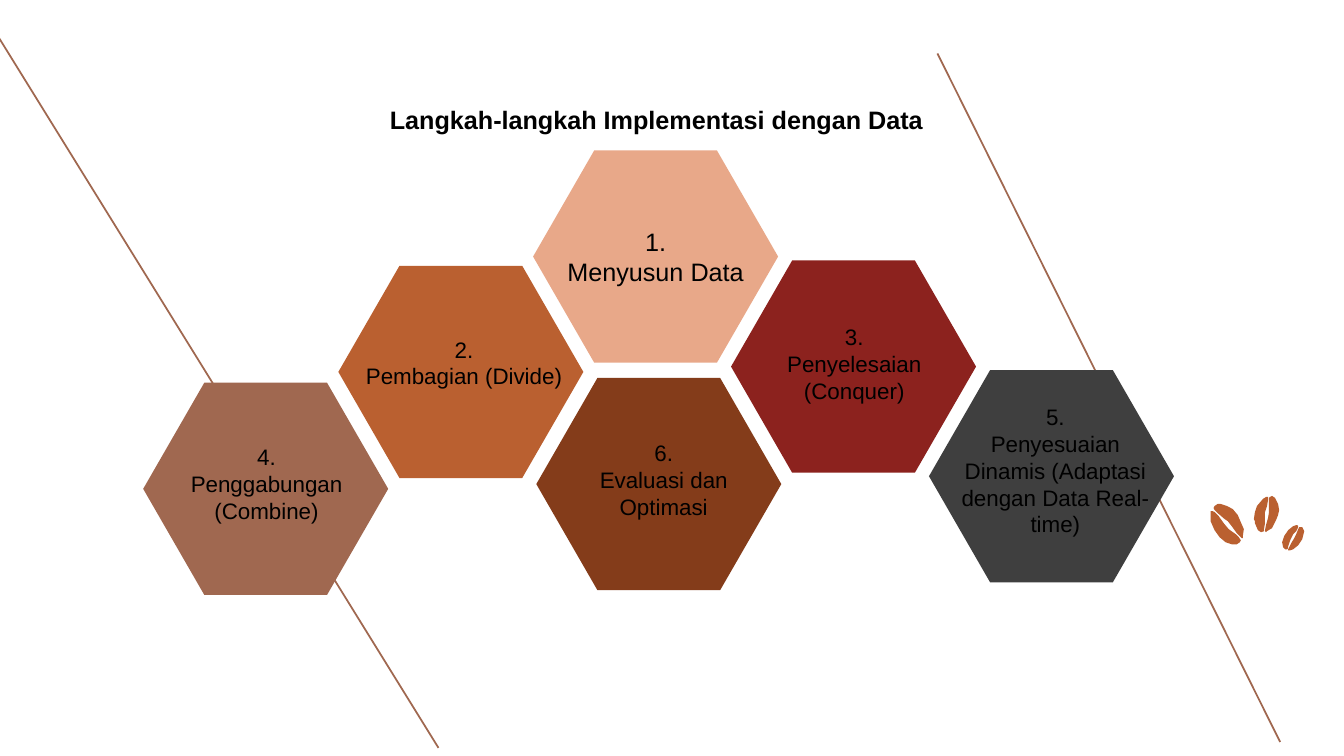
from dataclasses import dataclass

from lxml.etree import SubElement
from pptx import Presentation
from pptx.dml.color import RGBColor
from pptx.enum.shapes import MSO_CONNECTOR as CONNECTOR, MSO_SHAPE as SHAPE
from pptx.enum.text import MSO_ANCHOR as ANCHOR, MSO_AUTO_SIZE as AUTO_SIZE, PP_ALIGN as ALIGN
from pptx.oxml.ns import qn
from pptx.util import Pt


@dataclass(frozen=True)
class Theme:
    font: str = "Arial"
    heading_size: float = 18
    label_size: float = 16
    text: str = "000000"
    clay: str = "A06850"
    copper: str = "BA6030"
    brown: str = "843C1A"
    red: str = "8C221E"
    charcoal: str = "3F3F3F"
    peach: str = "E8A889"


class SlideBuilder:
    def __init__(self, slide, theme):
        self.slide = slide
        self.theme = theme

    def line(self, x1, y1, x2, y2):
        connector = self.slide.shapes.add_connector(
            CONNECTOR.STRAIGHT, Pt(x1), Pt(y1), Pt(x2), Pt(y2))
        connector.line.color.rgb = RGBColor.from_string(self.theme.clay)
        connector.line.width = Pt(1.25)
        SubElement(connector._element.spPr, qn("a:effectLst"))

    def paint(self, shape, color):
        shape.shadow.inherit = False
        shape.fill.solid()
        shape.fill.fore_color.rgb = RGBColor.from_string(color)
        shape.line.fill.background()

    def outline(self, left, top, unit, points, color):
        builder = self.slide.shapes.build_freeform(*points[0], scale=Pt(unit))
        builder.add_line_segments(points[1:], close=True)
        self.paint(builder.convert_to_shape(Pt(left), Pt(top)), color)

    def hexagon(self, left, top, color):
        shape = self.slide.shapes.add_shape(
            SHAPE.HEXAGON, Pt(left), Pt(top), Pt(175), Pt(151.6))
        shape.adjustments[0] = 0.288
        self.paint(shape, color)
        return shape

    def fill_text(self, frame, lines, size, align=ALIGN.CENTER, bold=False):
        for index, line in enumerate(lines):
            paragraph = frame.add_paragraph() if index else frame.paragraphs[0]
            paragraph.text = line
            paragraph.alignment = align
            paragraph.font.name = self.theme.font
            paragraph.font.size = Pt(size)
            paragraph.font.bold = bold
            paragraph.font.color.rgb = RGBColor.from_string(self.theme.text)

    def text_box(self, left, top, width, height, lines, size, **style):
        frame = self.slide.shapes.add_textbox(
            Pt(left), Pt(top), Pt(width), Pt(height)).text_frame
        frame.word_wrap = True
        frame.auto_size = AUTO_SIZE.SHAPE_TO_FIT_TEXT
        self.fill_text(frame, lines, size, **style)


# Halves of the three coffee beans, on a grid of 0.72 pt
BEAN_HALVES = [
    [(1, 21), (1, 19), (1, 17), (3, 17), (5, 18), (9, 22), (14, 29), (19, 35), (26, 40),
     (29, 43), (31, 46), (30, 48), (27, 50), (22, 50), (16, 48), (10, 43), (5, 36), (1, 27), (1, 23)],
    [(79, 56), (78, 56), (78, 55), (79, 53), (81, 49), (84, 44), (86, 40), (88, 35),
     (89, 33), (92, 33), (94, 37), (92, 45), (88, 51), (83, 55), (80, 56)],
    [(11, 10), (17, 12), (23, 15), (28, 21), (31, 28), (34, 35), (33, 42), (33, 44), (32, 44),
     (30, 42), (27, 39), (22, 32), (18, 27), (15, 25), (8, 19), (5, 16), (4, 14), (5, 12), (8, 10)],
    [(44, 25), (45, 18), (47, 12), (53, 5), (56, 3), (58, 3), (58, 6), (57, 12), (55, 18),
     (55, 23), (55, 29), (54, 35), (54, 37), (51, 38), (48, 36), (45, 29), (45, 27)],
    [(69, 16), (68, 21), (66, 26), (62, 34), (57, 37), (56, 38), (55, 37), (55, 36), (56, 31),
     (58, 24), (59, 18), (59, 15), (59, 8), (59, 4), (60, 3), (62, 2), (65, 4), (68, 10)],
    [(72, 48), (74, 42), (78, 36), (83, 32), (86, 31), (87, 31), (88, 32), (88, 33), (86, 37),
     (83, 40), (80, 46), (78, 52), (78, 54), (77, 55), (75, 55), (73, 53)],
]


def main():
    presentation = Presentation()
    presentation.slide_width, presentation.slide_height = Pt(960), Pt(540)
    theme = Theme()
    builder = SlideBuilder(
        presentation.slides.add_slide(presentation.slide_layouts[6]), theme)

    # Diagonal lines and coffee beans
    builder.line(669.6, 38.2, 914.4, 530)
    builder.line(-1.4, 26, 313.2, 534.2)
    for points in BEAN_HALVES:
        builder.outline(864, 352.8, 0.72, points, theme.copper)

    # Steps: hexagon left, top, colour; label left, top, width, height, lines
    steps = [
        (102.3, 273.4, theme.clay,
         (105.1, 313.2, 170.6, 65.5, ["4.", "Penggabungan (Combine)"])),
        (241.7, 189.9, theme.copper,
         (246.2, 236.2, 170.6, 46, ["2.", "Pembagian (Divide)"])),
        (383.1, 270, theme.brown,
         (408.2, 310.3, 131.8, 65.5, ["6.", "Evaluasi dan Optimasi"])),
        (522.2, 186.1, theme.red,
         (524.9, 227.5, 170.6, 65.5, ["3.", "Penyelesaian (Conquer)"])),
        (663.6, 264.4, theme.charcoal,
         (676.1, 284.4, 155.5, 104.4,
          ["5.", "Penyesuaian Dinamis (Adaptasi dengan Data Real-time)"])),
    ]
    for left, top, color, label in steps:
        builder.hexagon(left, top, color)
        builder.text_box(*label, theme.label_size)

    # First step, with its label inside the hexagon
    frame = builder.hexagon(380.8, 107.5, theme.peach).text_frame
    frame.word_wrap = False
    frame.vertical_anchor = ANCHOR.MIDDLE
    builder.fill_text(frame, ["1.", "Menyusun Data"], theme.heading_size)

    # Title
    builder.text_box(271.4, 71.3, 509, 28.8, ["Langkah-langkah Implementasi dengan Data"],
                     theme.heading_size, align=ALIGN.LEFT, bold=True)

    presentation.save("out.pptx")


if __name__ == "__main__":
    main()
